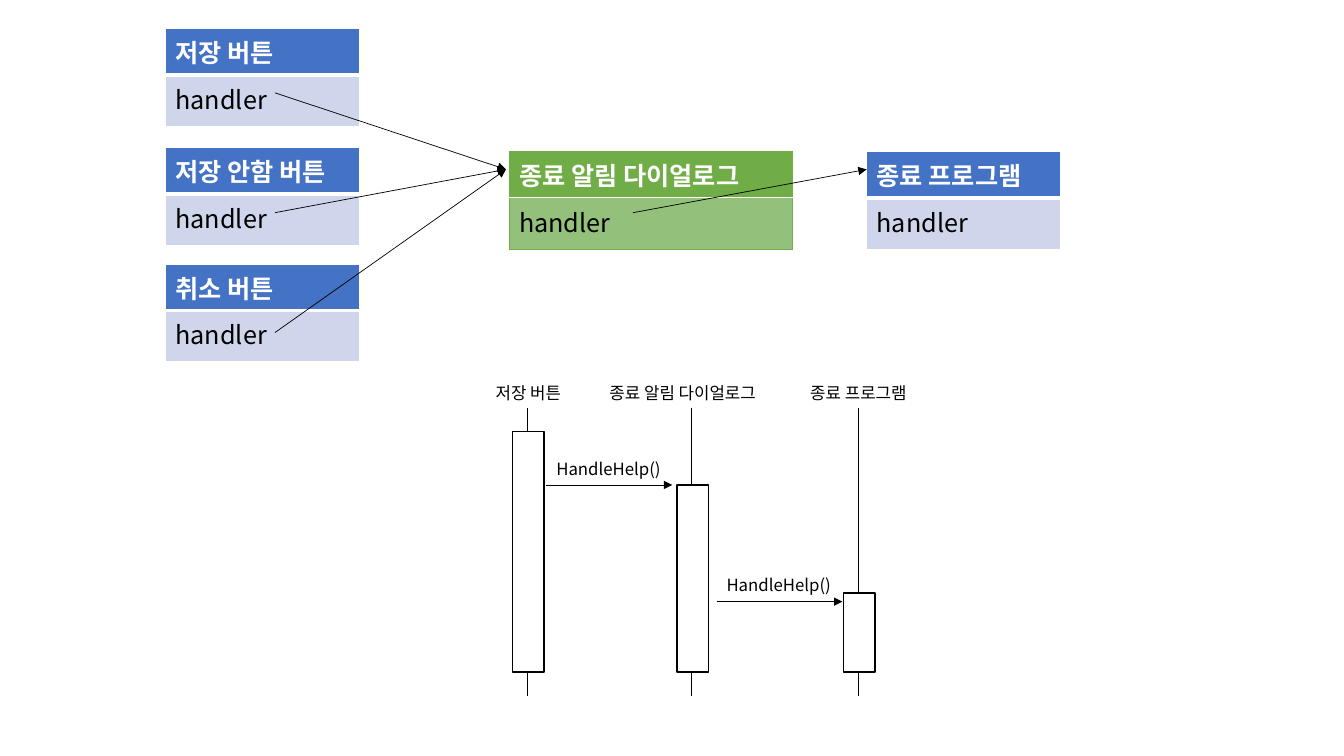
from dataclasses import dataclass

from lxml import etree
from pptx import Presentation
from pptx.dml.color import RGBColor
from pptx.enum.shapes import MSO_CONNECTOR, MSO_SHAPE
from pptx.enum.text import MSO_AUTO_SIZE
from pptx.oxml.ns import qn
from pptx.shapes.shapetree import GroupShapes, SlideShapes
from pptx.table import _Cell
from pptx.util import Cm, Pt

STRAIGHT = MSO_CONNECTOR.STRAIGHT
RECTANGLE = MSO_SHAPE.RECTANGLE
GROW_TO_TEXT = MSO_AUTO_SIZE.SHAPE_TO_FIT_TEXT

FONT = "Noto Sans CJK KR"
BLACK = RGBColor(0x00, 0x00, 0x00)
WHITE = RGBColor(0xFF, 0xFF, 0xFF)
BLUE = RGBColor(0x44, 0x72, 0xC4)
PALE_BLUE = RGBColor(0xCF, 0xD5, 0xEA)
GREEN = RGBColor(0x70, 0xAD, 0x47)
PALE_GREEN = RGBColor(0x93, 0xC1, 0x7B)

HEADER_HEIGHT, FIELD_HEIGHT = 0.76, 1.3
LABEL_TOP, LABEL_HEIGHT = 9.53, 0.76
LIFELINE_TOP, LIFELINE_BOTTOM = 10.29, 17.55
BAR_BOTTOM, BAR_WIDTH, BAR_OFFSET = 16.94, 0.79, 0.36
CALL_LENGTH, CALL_LABEL_RISE = 3.17, 0.79


@dataclass(frozen=True)
class Palette:
    header: RGBColor
    field: RGBColor
    border: RGBColor
    border_width: float
    divider_width: float


BLUE_BOX = Palette(BLUE, PALE_BLUE, WHITE, 1, 3)
GREEN_BOX = Palette(GREEN, PALE_GREEN, GREEN, 0.5, 1)


@dataclass(frozen=True)
class HandlerObject:
    name: str
    left: float
    top: float
    width: float = 4.88
    palette: Palette = BLUE_BOX


@dataclass(frozen=True)
class Arrow:
    x1: float
    y1: float
    x2: float
    y2: float


@dataclass(frozen=True)
class Lifeline:
    name: str
    x: float
    bar_top: float
    label_left: float
    label_width: float


@dataclass(frozen=True)
class Call:
    left: float
    y: float


HANDLER_OBJECTS = [
    HandlerObject("저장 버튼", 4.17, 0.71),
    HandlerObject("저장 안함 버튼", 4.17, 3.71),
    HandlerObject("취소 버튼", 4.17, 6.65),
    HandlerObject("종료 알림 다이얼로그", 12.83, 3.81, 7.14, GREEN_BOX),
    HandlerObject("종료 프로그램", 21.84, 3.81),
]
HANDLER_ARROWS = [
    *(Arrow(6.93, 2.34 + 3.02 * i, 12.75, 4.27) for i in range(3)),
    Arrow(15.95, 5.36, 21.84, 4.27),
]
LIFELINES = [
    Lifeline("저장 버튼", 13.28, 10.87, 12.24, 3.02),
    Lifeline("종료 알림 다이얼로그", 17.42, 12.22, 15.11, 5.23),
    Lifeline("종료 프로그램", 21.62, 14.94, 20.17, 3.38),
]
CALLS = [Call(13.77, 12.22), Call(18.06, 15.16)]


def write_text(frame, text: str, size: float, color: RGBColor, bold: bool = False) -> None:
    run = frame.paragraphs[0].add_run()
    run.text = text
    run.font.color.rgb = color
    for attribute, value in {"name": FONT, "size": Pt(size), "bold": bold}.items():
        setattr(run.font, attribute, value)
    latin = run.font._element.find(qn("a:latin"))
    east_asian = etree.Element(qn("a:ea"), typeface=FONT)
    latin.addnext(east_asian)


def set_borders(cell: _Cell, borders: dict[str, tuple[RGBColor, float]]) -> None:
    properties = cell._tc.get_or_add_tcPr()
    for index, side in enumerate("LRTB"):
        color, width = borders[side]
        line = etree.Element(qn(f"a:ln{side}"), w=str(Pt(width)))
        fill = etree.SubElement(line, qn("a:solidFill"))
        etree.SubElement(fill, qn("a:srgbClr"), val=str(color))
        properties.insert(index, line)


def add_handler_object(shapes: SlideShapes, item: HandlerObject) -> None:
    colors = item.palette
    table = shapes.add_table(
        2, 1, Cm(item.left), Cm(item.top), Cm(item.width),
        Cm(HEADER_HEIGHT + FIELD_HEIGHT),
    ).table
    edge = (colors.border, colors.border_width)
    divider = (WHITE, colors.divider_width)
    rows = [
        (item.name, HEADER_HEIGHT, colors.header, WHITE, True, "B"),
        ("handler", FIELD_HEIGHT, colors.field, BLACK, False, "T"),
    ]
    for index, (text, height, fill, color, bold, divider_side) in enumerate(rows):
        table.rows[index].height = Cm(height)
        cell = table.cell(index, 0)
        cell.fill.solid()
        cell.fill.fore_color.rgb = fill
        write_text(cell.text_frame, text, 18, color, bold)
        set_borders(cell, {**dict.fromkeys("LRTB", edge), divider_side: divider})


def add_line(shapes: SlideShapes | GroupShapes, ends: Arrow, arrowhead: bool = True) -> None:
    connector = shapes.add_connector(
        STRAIGHT, Cm(ends.x1), Cm(ends.y1), Cm(ends.x2), Cm(ends.y2)
    )
    connector.line.color.rgb = BLACK
    connector.line.width = Pt(0.5)
    if arrowhead:
        etree.SubElement(connector.line._get_or_add_ln(), qn("a:tailEnd"), type="triangle")
    etree.SubElement(connector._element.spPr, qn("a:effectLst"))


def add_label(shapes: GroupShapes, text: str, left: float, top: float, width: float) -> None:
    label = shapes.add_textbox(Cm(left), Cm(top), Cm(width), Cm(LABEL_HEIGHT))
    label.text_frame.word_wrap = True
    label.text_frame.auto_size = GROW_TO_TEXT
    write_text(label.text_frame, text, 12, BLACK)


def add_lifeline(shapes: GroupShapes, item: Lifeline) -> None:
    add_line(shapes, Arrow(item.x, LIFELINE_TOP, item.x, LIFELINE_BOTTOM), arrowhead=False)
    bar = shapes.add_shape(
        RECTANGLE, Cm(item.x - BAR_OFFSET), Cm(item.bar_top),
        Cm(BAR_WIDTH), Cm(BAR_BOTTOM - item.bar_top),
    )
    bar.shadow.inherit = False
    bar.fill.solid()
    bar.fill.fore_color.rgb = WHITE
    bar.line.color.rgb = BLACK
    bar.line.width = Pt(1)
    add_label(shapes, item.name, item.label_left, LABEL_TOP, item.label_width)


def add_call(shapes: GroupShapes, item: Call) -> None:
    add_line(shapes, Arrow(item.left, item.y, item.left + CALL_LENGTH, item.y))
    add_label(shapes, "HandleHelp()", item.left, item.y - CALL_LABEL_RISE, CALL_LENGTH)


def main() -> None:
    presentation = Presentation()
    presentation.slide_width = Cm(33.87)
    presentation.slide_height = Cm(19.05)
    slide = presentation.slides.add_slide(presentation.slide_layouts[6])

    # Chain of handler objects
    for handler_object in HANDLER_OBJECTS:
        add_handler_object(slide.shapes, handler_object)
    for arrow in HANDLER_ARROWS:
        add_line(slide.shapes, arrow)

    # Sequence diagram
    sequence = slide.shapes.add_group_shape().shapes
    for lifeline in LIFELINES:
        add_lifeline(sequence, lifeline)
    for call in CALLS:
        add_call(sequence, call)

    presentation.save("out.pptx")


if __name__ == "__main__":
    main()
